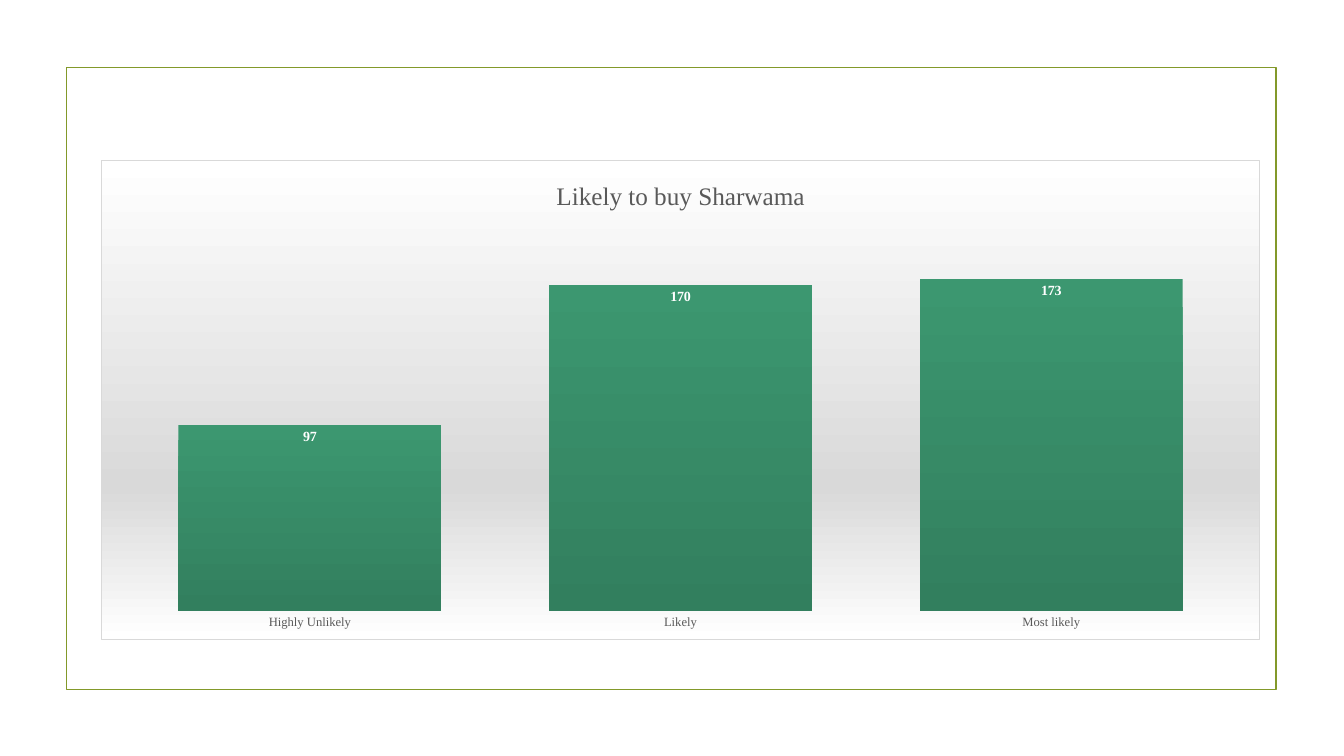
from pptx import Presentation
from pptx.chart.data import CategoryChartData
from pptx.dml.color import RGBColor
from pptx.enum.chart import XL_CHART_TYPE as ChartType, XL_LABEL_POSITION as LabelPos, XL_TICK_MARK as Tick
from pptx.enum.shapes import MSO_SHAPE as Shape
from pptx.oxml import parse_xml
from pptx.oxml.ns import nsdecls, qn
from pptx.util import Inches, Pt

FONT = "Times New Roman"
GREY = "595959"


def rgb(value):
    return RGBColor.from_string(value)


def set_font(font, size, color, bold=False):
    font.name, font.size, font.bold = FONT, Pt(size), bold
    font.color.rgb = rgb(color)


def gradient(*stops):
    gs = "".join(
        f'<a:gs pos="{pos * 1000}"><a:srgbClr val="{color}"/></a:gs>' for pos, color in stops)
    return (f'<a:gradFill {nsdecls("a")} rotWithShape="1"><a:gsLst>{gs}</a:gsLst>'
            '<a:lin ang="5400000" scaled="0"/></a:gradFill>')


def add_frame(slide, left, top, width, height):
    sp = slide.shapes.add_shape(
        Shape.RECTANGLE, Inches(left), Inches(top), Inches(width), Inches(height))
    sp.shadow.inherit = False
    sp.fill.background()
    sp.line.color.rgb = rgb("83992A")
    sp.line.width = Pt(1.25)


def style_chart_area(chart):
    fill = gradient((0, "FFFFFF"), (68, "D9D9D9"), (100, "FFFFFF"))
    chart._chartSpace.find(qn("c:chart")).addnext(parse_xml(
        f'<c:spPr {nsdecls("c", "a")}>{fill}<a:ln w="9525"><a:solidFill>'
        '<a:srgbClr val="D9D9D9"/></a:solidFill></a:ln></c:spPr>'))


def place_plot(chart, x, y, w, h):
    plot_area = chart._chartSpace.chart.plotArea
    for old in plot_area.findall(qn("c:layout")):
        plot_area.remove(old)
    sizes = "".join(f'<c:{k} val="{v}"/>' for k, v in zip("xywh", (x, y, w, h)))
    plot_area.insert(0, parse_xml(
        f'<c:layout {nsdecls("c")}><c:manualLayout><c:layoutTarget val="inner"/>'
        f'<c:xMode val="edge"/><c:yMode val="edge"/>{sizes}</c:manualLayout></c:layout>'))


def add_purchase_chart(slide, left, top, width, height):
    data = CategoryChartData()
    data.categories = ["Highly Unlikely", "Likely", "Most likely"]
    data.add_series("Series 1", (97, 170, 173))
    chart = slide.shapes.add_chart(
        ChartType.COLUMN_CLUSTERED, Inches(left), Inches(top),
        Inches(width), Inches(height), data).chart
    set_font(chart.font, 10, "000000")
    chart.has_legend = False
    style_chart_area(chart)
    place_plot(chart, 0.02, 0.14, 0.96, 0.8)

    chart.has_title = True
    chart.chart_title.include_in_layout = False
    p = chart.chart_title.text_frame.paragraphs[0]
    p.text = "Likely to buy Sharwama"
    set_font(p.font, 18, GREY)

    values = chart.value_axis
    values.minimum_scale, values.maximum_scale = 0, 200
    values.has_major_gridlines = False
    values.visible = False

    categories = chart.category_axis
    categories.major_tick_mark = categories.minor_tick_mark = Tick.NONE
    categories.format.line.fill.background()
    set_font(categories.tick_labels.font, 9, GREY)

    plot = chart.plots[0]
    plot.gap_width = 41
    plot.vary_by_categories = False
    series = plot.series[0]
    series._element.get_or_add_spPr().append(
        parse_xml(gradient((0, "3C9770"), (100, "327F5E"))))
    labels = series.data_labels
    labels.show_value = True
    labels.position = LabelPos.INSIDE_END
    set_font(labels.font, 10, "FFFFFF", bold=True)


def main():
    prs = Presentation()
    prs.slide_width, prs.slide_height = Inches(13.33), Inches(7.5)
    slide = prs.slides.add_slide(prs.slide_layouts[6])
    add_frame(slide, 0.66, 0.67, 12, 6.17)
    add_purchase_chart(slide, 1, 1.59, 11.5, 4.76)
    prs.save("out.pptx")


if __name__ == "__main__":
    main()
